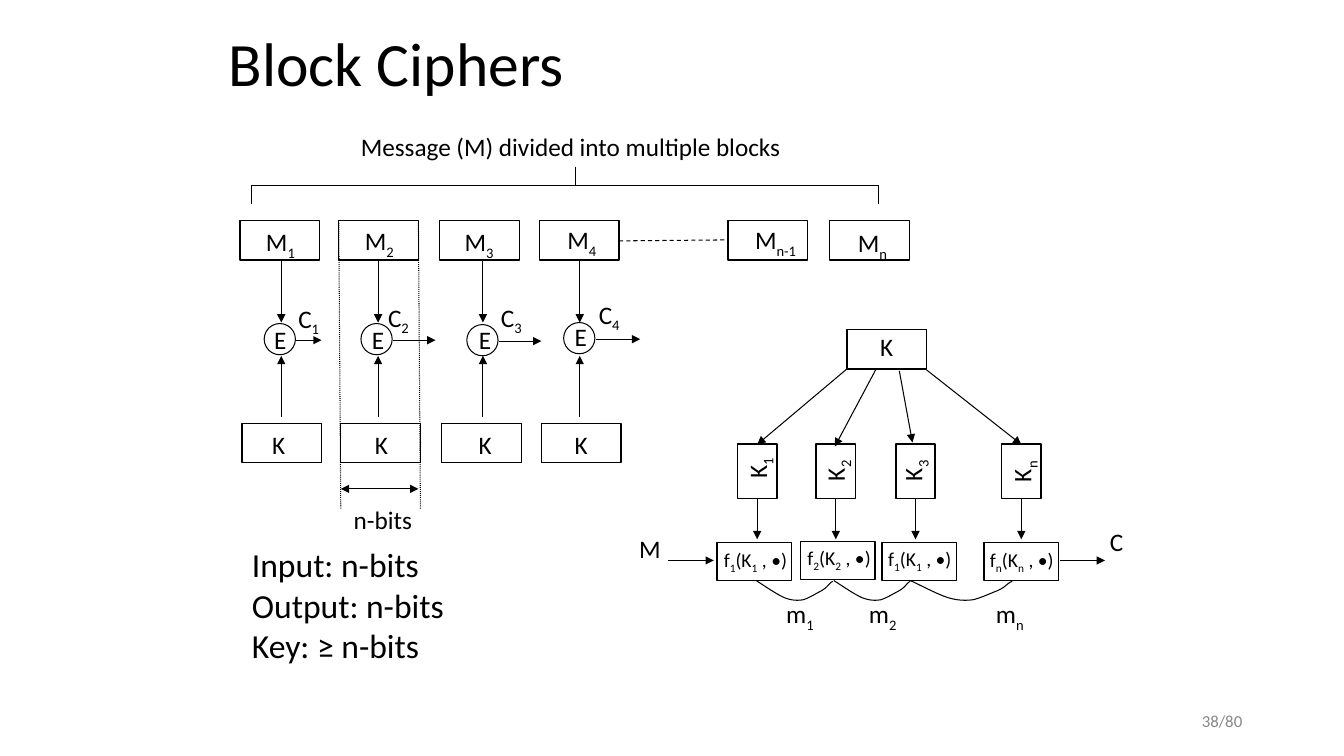
from lxml.etree import SubElement
from pptx import Presentation
from pptx.dml.color import RGBColor
from pptx.enum.dml import MSO_LINE
from pptx.enum.shapes import MSO_CONNECTOR, MSO_SHAPE
from pptx.enum.text import MSO_ANCHOR, PP_ALIGN
from pptx.oxml.ns import qn
from pptx.util import Inches, Pt

BLACK, GREY = "000000", "888888"
BOX_WIDTH, BOX_HEIGHT, CIRCLE = 0.79, 0.39, 0.31
LABEL_HEIGHT = 0.4

message_blocks = [
    (2.38, "M|1", 2.54, 2.2, 0.5),
    (3.36, "M|2", 3.52, 2.19, 0.5),
    (4.36, "M|3", 4.51, 2.2, 0.5),
    (5.35, "M|4", 5.53, 2.18, 0.5),
    (7.22, "M|n-1", 7.39, 2.18, 0.64),
    (8.23, "M|n", 8.41, 2.21, 0.51),
]
# axis, circle left and top, E left and top, K left, output end, C text, left, top
encryptions = [
    (2.79, 2.62, 3.21, 2.62, 3.17, 2.6, 3.19, "C|1", 2.86, 2.96),
    (3.75, 3.58, 3.21, 3.59, 3.17, 3.62, 4.32, "C|2", 3.75, 2.95),
    (4.79, 4.63, 3.22, 4.65, 3.17, 4.65, 5.37, "C|3", 4.87, 2.95),
    (5.75, 5.59, 3.2, 5.6, 3.14, 5.6, 6.35, "C|4", 5.84, 2.92),
]
# axis, key text and left and top, function text and left and top, box left and top
rounds = [
    (7.51, "K|1", 7.26, 4.4, "f|1|(K|1| , •)", 7.08, 5.39, 7.11, 5.38),
    (8.29, "K|2", 8.03, 4.42, "f|2|(K|2| , •)", 7.91, 5.37, 7.94, 5.37),
    (9.08, "K|3", 8.8, 4.42, "f|1|(K|1| , •)", 8.71, 5.38, 8.75, 5.38),
    (10.13, "K|n", 9.88, 4.43, "f|n|(K|n| , •)", 9.72, 5.39, 9.76, 5.38),
]
key_arrows = [
    (8.4, 3.66, 7.51, 4.41),
    (8.69, 3.66, 8.28, 4.43),
    (8.92, 3.68, 9.05, 4.39),
    (9.19, 3.67, 10.13, 4.41),
]
arcs = [
    (7.5, 0.76, "m|1", 7.7),
    (8.27, 0.76, "m|2", 8.52),
    (9.03, 1.01, "m|n", 9.78),
]
ARC_WIDTH, ARC_TOP, ARC_STEPS = 0.76, 5.76, 6
arc_points = [
    (0, 0), (0.11, 0.07), (0.21, 0.14), (0.28, 0.17),
    (0.36, 0.2), (0.41, 0.2), (0.47, 0.19), (0.53, 0.17),
    (0.61, 0.12), (0.65, 0.1), (0.7, 0.07), (0.71, 0.05),
    (0.73, 0.03), (0.74, 0.02), (0.75, 0.01), (0.76, 0.01),
]
other_labels = [
    ("Message (M) divided into multiple blocks", 3.48, 1.25, 4.47),
    ("n-bits", 3.41, 4.95, 0.79),
    ("K", 8.63, 3.24, 0.33),
    ("M", 6.24, 5.24, 0.42),
    ("C", 10.91, 5.17, 0.34),
]
summary = ["Input: n-bits Output: n-bits", "Key: ≥ n-bits"]


def color(value):
    return RGBColor.from_string(value)


def write(paragraph, text, size, fill=BLACK):
    for index, part in enumerate(text.split("|")):
        run = paragraph.add_run()
        run.text = part
        for name, value in {"size": Pt(size), "name": "Calibri"}.items():
            setattr(run.font, name, value)
        run.font.color.rgb = color(fill)
        if index % 2:
            run.font._element.set("baseline", "-25000")


def add_text(text, left, top, width, height=LABEL_HEIGHT, size=18, wrap=False, rotation=0):
    box = slide.shapes.add_textbox(*map(Inches, (left, top, width, height)))
    box.rotation = rotation
    box.text_frame.word_wrap = wrap
    write(box.text_frame.paragraphs[0], text, size)
    return box


def outline(shape, weight):
    shape.shadow.inherit = False
    shape.fill.background()
    shape.line.color.rgb = color(BLACK)
    shape.line.width = Pt(weight)


def add_outline(kind, left, top, width, height, weight=1.0, rotation=0):
    shape = slide.shapes.add_shape(kind, *map(Inches, (left, top, width, height)))
    outline(shape, weight)
    shape.rotation = rotation
    return shape


def add_line(x1, y1, x2, y2, ends=("tailEnd",), dash=None):
    line = slide.shapes.add_connector(MSO_CONNECTOR.STRAIGHT, *map(Inches, (x1, y1, x2, y2)))
    line.line.color.rgb = color(BLACK)
    line.line.width = Pt(0.75)
    if dash:
        line.line.dash_style = dash
    properties = line._element.spPr
    for end in ends:
        SubElement(properties.find(qn("a:ln")), qn(f"a:{end}"), type="triangle")
    SubElement(properties, qn("a:effectLst"))


def curve(points):
    for start in range(0, len(points) - 1, 3):
        a, b, c, d = points[start:start + 4]
        for step in range(1, ARC_STEPS + 1):
            t = step / ARC_STEPS
            weights = ((1 - t) ** 3, 3 * t * (1 - t) ** 2, 3 * t * t * (1 - t), t ** 3)
            yield tuple(sum(w * p[axis] for w, p in zip(weights, (a, b, c, d))) for axis in (0, 1))


def add_arc(left, width):
    builder = slide.shapes.build_freeform(Inches(left), Inches(ARC_TOP))
    scale = width / ARC_WIDTH
    builder.add_line_segments(
        [(Inches(left + x * scale), Inches(ARC_TOP + y)) for x, y in curve(arc_points)], close=False)
    outline(builder.convert_to_shape(), 0.75)


presentation = Presentation()
presentation.slide_width = Inches(13.33)
presentation.slide_height = Inches(7.5)
slide = presentation.slides.add_slide(presentation.slide_layouts[5])

title = slide.shapes.title
for name, value in {"left": 2.17, "top": 0.21, "width": 9.25, "height": 0.9}.items():
    setattr(title, name, Inches(value))
title.text_frame.vertical_anchor = MSO_ANCHOR.MIDDLE
heading = title.text_frame.paragraphs[0]
for name, value in {"alignment": PP_ALIGN.LEFT, "line_spacing": 0.9}.items():
    setattr(heading, name, value)
write(heading, "Block Ciphers", 44)

page = slide.shapes.add_textbox(*map(Inches, (9.42, 6.95, 3, 0.4))).text_frame
for name, value in {"word_wrap": True, "vertical_anchor": MSO_ANCHOR.MIDDLE}.items():
    setattr(page, name, value)
page.paragraphs[0].alignment = PP_ALIGN.RIGHT
write(page.paragraphs[0], "38/80", 12, GREY)

brace = add_outline(MSO_SHAPE.LEFT_BRACE, 5.42, -1.27, 0.36, 6.22, 0.75, 90)
brace.adjustments[0] = 0
brace.adjustments[1] = 0.482

for box_left, text, left, top, width in message_blocks:
    add_outline(MSO_SHAPE.RECTANGLE, box_left, 2.19, BOX_WIDTH, BOX_HEIGHT)
    add_text(text, left, top, width)
add_line(6.14, 2.39, 7.22, 2.38, (), MSO_LINE.DASH)

for block, encryption in zip(message_blocks, encryptions):
    axis, left, top, e_left, e_top, k_left, out_end, c_text, c_left, c_top = encryption
    add_outline(MSO_SHAPE.RECTANGLE, block[0] + 0.02, 4.2, BOX_WIDTH, BOX_HEIGHT)
    add_outline(MSO_SHAPE.OVAL, left, top, CIRCLE, CIRCLE, 0.75)
    add_text("E", e_left, e_top, 0.32)
    add_text("K", k_left, 4.21, 0.33)
    add_text(c_text, c_left, c_top, 0.42)
    add_line(axis, 2.58, axis, 3.2)
    add_line(axis, 3.53, axis, 4.14, ("headEnd",))
    output_y = top + CIRCLE / 2 + 0.01
    add_line(left + CIRCLE + 0.01, output_y, out_end, output_y)

for left in (3.36, 4.15):
    add_line(left, 2.21, left + 0.02, 5.05, (), MSO_LINE.ROUND_DOT)
add_line(3.38, 4.85, 4.15, 4.85, ("headEnd", "tailEnd"))

add_outline(MSO_SHAPE.RECTANGLE, 8.4, 3.27, BOX_WIDTH, BOX_HEIGHT)
for arrow in key_arrows:
    add_line(*arrow)
for axis, key, key_left, key_top, function, left, top, box_left, box_top in rounds:
    add_outline(MSO_SHAPE.RECTANGLE, axis - 0.27, 4.48, 0.54, BOX_HEIGHT, rotation=270)
    add_text(key, key_left, key_top, 0.5, rotation=270)
    add_line(axis, 4.95, axis, 5.35)
    add_outline(MSO_SHAPE.RECTANGLE, box_left, box_top, 0.74, 0.38)
    add_text(function, left, top, 0.89, 0.54, 14)
for left in (6.63, 10.51):
    add_line(left, 5.56, left + 0.45, 5.56)
for left, width, text, label_left in arcs:
    add_arc(left, width)
    add_text(text, label_left, 5.89, 0.5)

for label in other_labels:
    add_text(*label)
notes_box = add_text(summary[0], 2.4, 5.35, 2.49, 1.31, 24, True)
write(notes_box.text_frame.add_paragraph(), summary[1], 24)

presentation.save("out.pptx")
